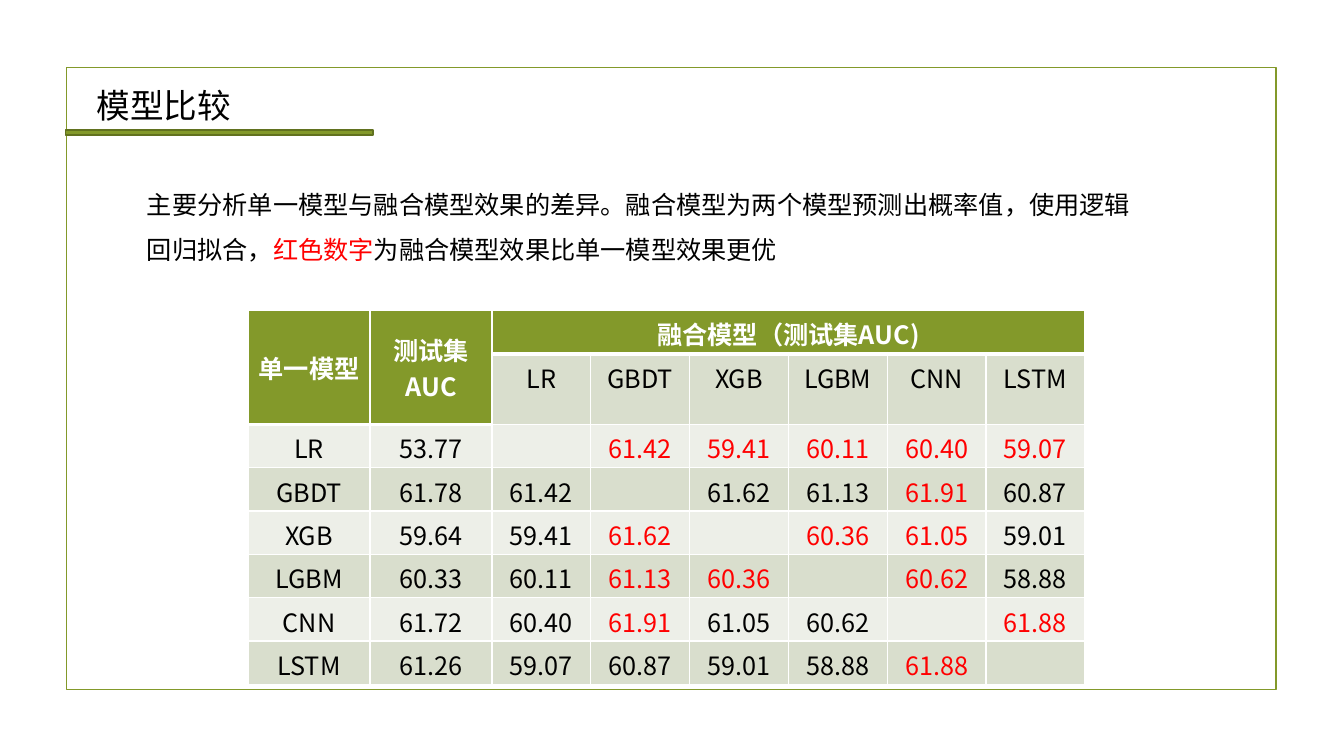
from itertools import product

from lxml import etree
from pptx import Presentation
from pptx.dml.color import RGBColor
from pptx.enum.shapes import MSO_SHAPE
from pptx.enum.text import MSO_ANCHOR, MSO_AUTO_SIZE, PP_ALIGN
from pptx.oxml.ns import qn
from pptx.util import Emu, Pt

RECTANGLE = MSO_SHAPE.RECTANGLE
TOP, MIDDLE = MSO_ANCHOR.TOP, MSO_ANCHOR.MIDDLE
LEFT, CENTER = PP_ALIGN.LEFT, PP_ALIGN.CENTER
GROW = MSO_AUTO_SIZE.SHAPE_TO_FIT_TEXT

PX = 9144
PAGE_SIZE = (1333, 750)
FONT = "Noto Sans CJK SC"
GREEN, DARK_GREEN = "83992A", "61711F"
BLACK, WHITE, RED = "000000", "FFFFFF", "FF0000"
BANDS = ("EDEFE8", "D9DECD")

SINGLE_AUC = {
    "LR": 53.77, "GBDT": 61.78, "XGB": 59.64,
    "LGBM": 60.33, "CNN": 61.72, "LSTM": 61.26,
}
FUSED_AUC = {
    "LR": {"GBDT": 61.42, "XGB": 59.41, "LGBM": 60.11, "CNN": 60.40, "LSTM": 59.07},
    "GBDT": {"XGB": 61.62, "LGBM": 61.13, "CNN": 61.91, "LSTM": 60.87},
    "XGB": {"LGBM": 60.36, "CNN": 61.05, "LSTM": 59.01},
    "LGBM": {"CNN": 60.62, "LSTM": 58.88},
    "CNN": {"LSTM": 61.88},
    "LSTM": {},
}


def px(length):
    """Turn whole pixels into EMU."""
    return Emu(length * PX)


def color(value):
    """Turn a hex string into a colour."""
    return RGBColor.from_string(value)


class SlideBuilder:
    """Hold the deck style and the current page."""

    def __init__(self):
        """Open a deck with one title-only page."""
        self.deck = Presentation()
        self.deck.slide_width, self.deck.slide_height = map(px, PAGE_SIZE)
        self.page = self.deck.slides.add_slide(self.deck.slide_layouts[5])

    def add_spans(self, frame, spans, size=18, align=LEFT, bold=False, spacing=1.0):
        """Fill one paragraph with (text, colour) spans."""
        para = frame.paragraphs[0]
        para.alignment = align
        para.line_spacing = spacing
        for text, ink in spans:
            span = para.add_run()
            span.text = text
            span.font.size = Pt(size)
            span.font.bold = bold
            span.font.color.rgb = color(ink)
            span.font.name = FONT
            east_asian = etree.SubElement(span.font._element, qn("a:ea"))
            east_asian.set("typeface", FONT)

    def title(self, bounds, text, size):
        """Place and format the title placeholder."""
        box = self.page.shapes.title
        box.left, box.top, box.width, box.height = map(px, bounds)
        box.text_frame.word_wrap = True
        box.text_frame.auto_size = GROW
        box.text_frame.vertical_anchor = TOP
        self.add_spans(box.text_frame, [(text, BLACK)], size)

    def text(self, bounds, spans, spacing):
        """Add a wrapped text box."""
        frame = self.page.shapes.add_textbox(*map(px, bounds)).text_frame
        frame.word_wrap = True
        frame.auto_size = GROW
        self.add_spans(frame, spans, spacing=spacing)

    def rectangle(self, bounds, line, fill=None):
        """Add an outlined rectangle."""
        shape = self.page.shapes.add_shape(RECTANGLE, *map(px, bounds))
        shape.shadow.inherit = False
        shape.line.color.rgb = color(line)
        shape.line.width = Pt(1.25)
        if fill:
            shape.fill.solid()
            shape.fill.fore_color.rgb = color(fill)
        else:
            shape.fill.background()

    def table(self, corner, widths, row_height, row_count):
        """Add an empty table with the given columns."""
        size = (sum(widths), row_height * row_count)
        bounds = map(px, (*corner, *size))
        table = self.page.shapes.add_table(row_count, len(widths), *bounds).table
        for column, width in zip(table.columns, widths):
            column.width = px(width)
        for row in table.rows:
            row.height = px(row_height)
        return table

    def cell(self, cell, fill, top=1, bottom=1):
        """Fill a table cell and draw its white borders."""
        cell.fill.solid()
        cell.fill.fore_color.rgb = color(fill)
        properties = cell._tc.get_or_add_tcPr()
        borders = {"lnL": 1, "lnR": 1, "lnT": top, "lnB": bottom}
        for position, (side, width) in enumerate(borders.items()):
            line = etree.Element(qn(f"a:{side}"), w=str(int(Pt(width))))
            paint = etree.SubElement(line, qn("a:solidFill"))
            etree.SubElement(paint, qn("a:srgbClr"), val=WHITE)
            properties.insert(position, line)

    def cell_text(self, cell, text, ink=BLACK, bold=False, anchor=MIDDLE):
        """Put centred text in a table cell."""
        cell.vertical_anchor = anchor
        self.add_spans(cell.text_frame, [(text, ink)], align=CENTER, bold=bold)


def is_header(row, column):
    """Tell whether a table position belongs to the green header."""
    return row == 0 or (row == 1 and column < 2)


def add_comparison(slide):
    """Add the table of single and fused model scores."""
    models = list(SINGLE_AUC)
    widths = [121, 121] + [98] * len(models)
    row_count = len(models) + 2
    table = slide.table((246, 308), widths, 43, row_count)

    for row, column in product(range(row_count), range(len(widths))):
        header = is_header(row, column)
        below_header = row > 0 and not header and is_header(row - 1, column)
        fill = GREEN if header else BANDS[row % 2]
        slide.cell(table.cell(row, column), fill,
                   top=3 if below_header else 1, bottom=3 if header else 1)

    headings = [("单一模型", (1, 0)), ("测试集AUC", (1, 1)),
                ("融合模型（测试集AUC)", (0, len(widths) - 1))]
    for column, (heading, last) in enumerate(headings):
        cell = table.cell(0, column)
        cell.merge(table.cell(*last))
        slide.cell_text(cell, heading, WHITE, bold=True)

    for column, model in enumerate(models, 2):
        slide.cell_text(table.cell(1, column), model, anchor=TOP)

    for row, (model, single) in enumerate(SINGLE_AUC.items(), 2):
        slide.cell_text(table.cell(row, 0), model)
        slide.cell_text(table.cell(row, 1), f"{single:.2f}")
        for column, partner in enumerate(models, 2):
            if partner != model:
                fused = FUSED_AUC[model].get(partner) or FUSED_AUC[partner][model]
                ink = RED if fused > single else BLACK
                slide.cell_text(table.cell(row, column), f"{fused:.2f}", ink)


def main():
    """Build and save the model comparison slide."""
    slide = SlideBuilder()
    slide.rectangle((66, 67, 1200, 617), GREEN)
    slide.title((86, 79, 284, 50), "模型比较", 24)
    slide.rectangle((65, 129, 305, 5), DARK_GREEN, GREEN)
    add_comparison(slide)
    slide.text((136, 168, 996, 96), [
        ("主要分析单一模型与融合模型效果的差异。融合模型为两个模型预测出概率值，使用逻辑回归拟合，", BLACK),
        ("红色数字", RED),
        ("为融合模型效果比单一模型效果更优", BLACK),
    ], spacing=1.5)
    slide.deck.save("out.pptx")


if __name__ == "__main__":
    main()
